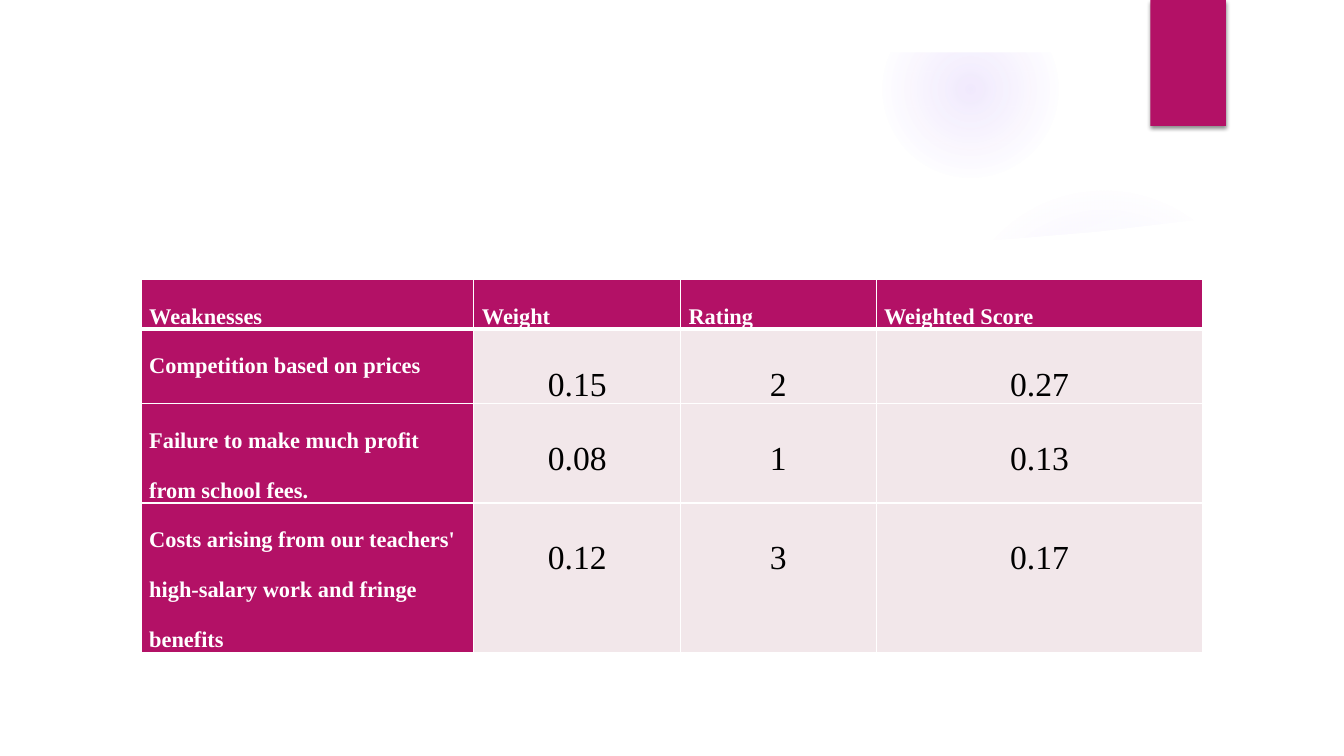
import dataclasses

import lxml.etree
import pptx
import pptx.dml.color
import pptx.enum.shapes
import pptx.enum.text
import pptx.oxml
import pptx.oxml.ns
import pptx.util

Inches = pptx.util.Inches
Pt = pptx.util.Pt
RGB = pptx.dml.color.RGBColor.from_string
SHAPE = pptx.enum.shapes.MSO_SHAPE
NS = 'xmlns:a="http://schemas.openxmlformats.org/drawingml/2006/main"'


@dataclasses.dataclass(frozen=True)
class Theme:
    """Hold the colours, font and type sizes of the slide."""
    accent: str = "B31166"
    glow: str = "9B6BF2"
    white: str = "FFFFFF"
    black: str = "000000"
    cell: str = "F2E7EA"
    font: str = "Times New Roman"
    label: int = 16
    value: int = 24


THEME = Theme()
PANEL_EDGE = [
    (0.5, 2.04), (1.13, 2.12), (1.87, 2.21), (2.83, 2.3), (4.01, 2.38),
    (5.35, 2.45), (6.82, 2.48), (8.13, 2.46), (9.21, 2.42), (10.04, 2.37),
    (10.88, 2.3), (11.72, 2.2), (12.28, 2.13), (12.84, 2.04)]
RIBBON = [
    (9.34, 2.5), (10.2, 2.47), (11.2, 2.37), (12.1, 2.26), (12.89, 2.14),
    (12.83, 1.66), (12.36, 1.81), (11.9, 1.94), (11.44, 2.06), (10.98, 2.16),
    (10.53, 2.25), (10.1, 2.32), (9.69, 2.38), (9.3, 2.43)]
ROWS = [
    ("Weaknesses", "Weight", "Rating", "Weighted Score"),
    ("Competition based on prices", "0.15", "2", "0.27"),
    ("Failure to make much profit from school fees.", "0.08", "1", "0.13"),
    ("Costs arising from our teachers' high-salary work and fringe benefits",
     "0.12", "3", "0.17")]


def paint(sp, color):
    """Give a shape a plain fill without line or shadow."""
    sp.shadow.inherit = False
    sp.fill.solid()
    sp.fill.fore_color.rgb = RGB(color)
    sp.line.fill.background()


def add_glow(s, left, top, size, stops):
    """Draw a round glow that fades out from its centre."""
    sp = s.shapes.add_shape(
        SHAPE.OVAL, Inches(left), Inches(top), Inches(size), Inches(size))
    paint(sp, THEME.glow)
    marks = "".join(
        f'<a:gs pos="{pos * 1000}"><a:srgbClr val="{THEME.glow}">'
        f'<a:alpha val="{alpha * 1000}"/></a:srgbClr></a:gs>'
        for pos, alpha in stops)
    grad = pptx.oxml.parse_xml(
        f'<a:gradFill {NS} rotWithShape="1"><a:gsLst>{marks}</a:gsLst>'
        '<a:path path="circle"><a:fillToRect l="50000" t="50000" '
        'r="50000" b="50000"/></a:path></a:gradFill>')
    solid = sp.element.spPr.find(pptx.oxml.ns.qn("a:solidFill"))
    sp.element.spPr.replace(solid, grad)


def add_outline(s, points):
    """Draw a white closed outline through points in inches."""
    points = [(Inches(x), Inches(y)) for x, y in points]
    builder = s.shapes.build_freeform(*points[0])
    builder.add_line_segments(points[1:], close=True)
    sp = builder.convert_to_shape()
    paint(sp, THEME.white)
    return sp


def add_backdrop(s, width, height):
    """Draw the glows, the white panel and the frame around the slide."""
    add_glow(s, 9.41, 1.83, 3.08, [(0, 7), (36, 6), (69, 0)])
    add_glow(s, 8.75, 0.01, 1.75, [(0, 14), (36, 7), (73, 0)])
    ribbon = add_outline(s, RIBBON)
    ribbon.rotation = 350.2
    color = ribbon.element.spPr.find(".//" + pptx.oxml.ns.qn("a:srgbClr"))
    lxml.etree.SubElement(color, pptx.oxml.ns.qn("a:alpha"), val="20000")
    add_outline(s, PANEL_EDGE + [(12.84, 7), (0.5, 7)])
    frame = s.shapes.add_shape(
        SHAPE.FRAME, 0, 0, Inches(width), Inches(height))
    frame.adjustments[0] = 0.52 / height
    paint(frame, THEME.white)


def add_tab(s, left, top, width, height):
    """Draw the accent tab that hangs from the top edge."""
    sp = s.shapes.add_shape(
        SHAPE.RECTANGLE, Inches(left), Inches(top),
        Inches(width), Inches(height))
    paint(sp, THEME.accent)
    effects = sp.element.spPr.find(pptx.oxml.ns.qn("a:effectLst"))
    effects.append(pptx.oxml.parse_xml(
        f'<a:outerShdw {NS} blurRad="{Pt(3)}" dist="{Pt(2)}" dir="5400000" '
        f'rotWithShape="0"><a:srgbClr val="{THEME.black}">'
        '<a:alpha val="45000"/></a:srgbClr></a:outerShdw>'))


def add_borders(cell, top, bottom):
    """Give a cell white borders, with top and bottom widths in points."""
    tcPr = cell._tc.get_or_add_tcPr()
    for side, width in zip("LRTB", (1, 1, top, bottom)):
        tcPr.append(pptx.oxml.parse_xml(
            f'<a:ln{side} {NS} w="{Pt(width)}"><a:solidFill>'
            f'<a:srgbClr val="{THEME.white}"/></a:solidFill></a:ln{side}>'))


def fill_cell(cell, text, is_label):
    """Write and style one cell as a label or a value."""
    cell.margin_left = cell.margin_right = Inches(0.08)
    cell.margin_top = cell.margin_bottom = 0
    cell.fill.solid()
    cell.fill.fore_color.rgb = RGB(THEME.accent if is_label else THEME.cell)
    p = cell.text_frame.paragraphs[0]
    p.text = text
    p.line_spacing = 2.0
    p.space_after = Pt(8)
    align = pptx.enum.text.PP_ALIGN
    p.alignment = align.LEFT if is_label else align.CENTER
    font = p.runs[0].font
    font.name = THEME.font
    font.size = Pt(THEME.label if is_label else THEME.value)
    font.bold = is_label
    font.color.rgb = RGB(THEME.white if is_label else THEME.black)


def add_scores(s, left, top, widths, heights):
    """Place the table of weighted weaknesses."""
    table = s.shapes.add_table(
        len(ROWS), len(widths), Inches(left), Inches(top),
        Inches(sum(widths)), Inches(sum(heights))).table
    for column, width in zip(table.columns, widths):
        column.width = Inches(width)
    for row, height in zip(table.rows, heights):
        row.height = Inches(height)
    for i, texts in enumerate(ROWS):
        for j, text in enumerate(texts):
            cell = table.cell(i, j)
            add_borders(cell, 3 if i == 1 else 1, 3 if i == 0 else 1)
            fill_cell(cell, text, i == 0 or j == 0)


def main():
    """Build the slide and save it."""
    prs = pptx.Presentation()
    prs.slide_width, prs.slide_height = Inches(13.33), Inches(7.5)
    s = prs.slides.add_slide(prs.slide_layouts[6])
    add_backdrop(s, 13.33, 7.5)
    add_tab(s, 11.41, 0, 0.75, 1.25)
    add_scores(s, 1.4, 2.77, (3.3, 2.05, 1.94, 3.24), (0.42, 0.42, 0.86, 0.86))
    prs.save("out.pptx")


if __name__ == "__main__":
    main()
